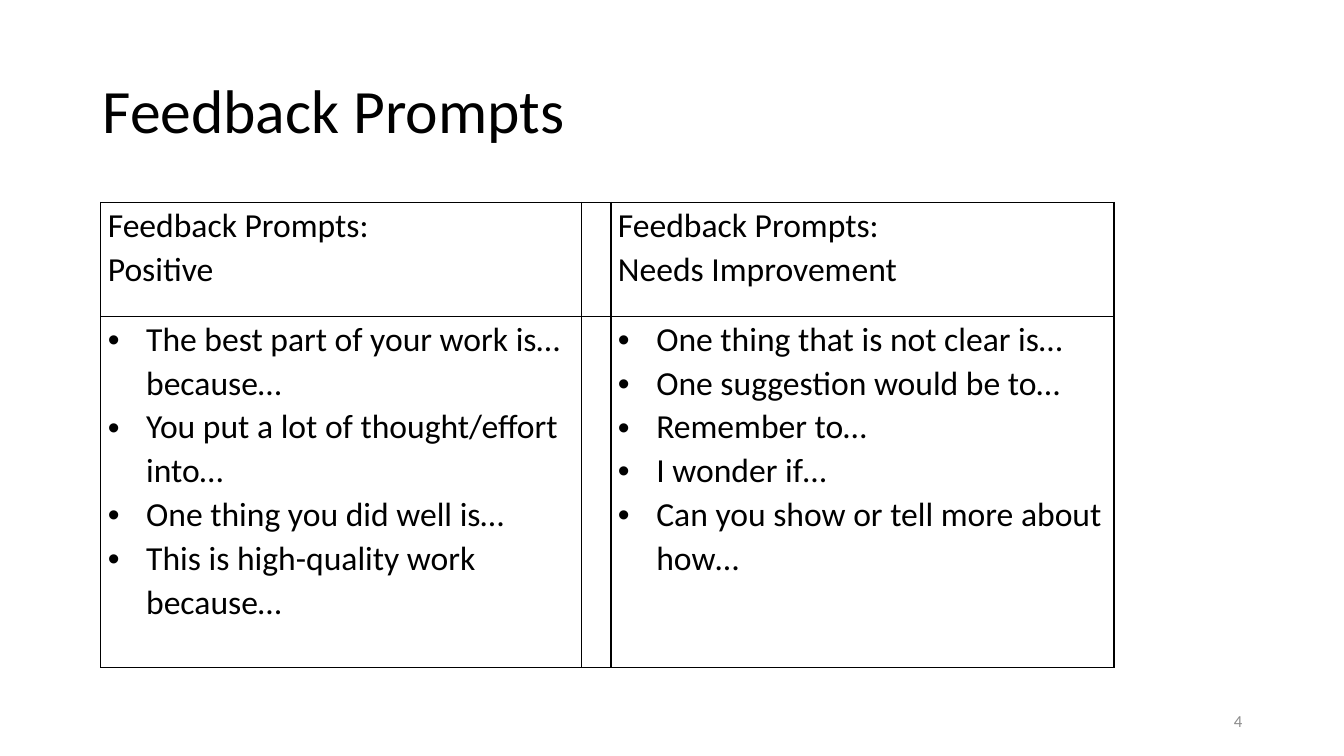
from lxml.etree import SubElement
from pptx import Presentation
from pptx.dml.color import RGBColor
from pptx.enum.text import MSO_ANCHOR, PP_ALIGN
from pptx.oxml import parse_xml
from pptx.oxml.ns import nsdecls, qn
from pptx.util import Inches, Pt

FONT = "Calibri"
BLACK = "000000"
GRAY = "8C8C8C"
COLUMN_WIDTHS = [4.77, 0.29, 4.99]
ROW_HEIGHTS = [1.13, 3.48]
BULLET_INDENT = 0.38

POSITIVE_HEADING = ["Feedback Prompts:", "Positive"]
IMPROVEMENT_HEADING = ["Feedback Prompts:", "Needs Improvement"]
POSITIVE_PROMPTS = [
    "The best part of your work is…because…",
    "You put a lot of thought/effort into…",
    "One thing you did well is…",
    "This is high-quality work because…",
]
IMPROVEMENT_PROMPTS = [
    "One thing that is not clear is…",
    "One suggestion would be to…",
    "Remember to…",
    "I wonder if…",
    "Can you show or tell more about how…",
]


def rgb(color):
    return RGBColor.from_string(color)


def add_run(paragraph, text, size, color=BLACK):
    run = paragraph.add_run()
    run.text = text
    run.font.name = FONT
    run.font.size = Pt(size)
    run.font.color.rgb = rgb(color)


def add_line(slide, box, text, size, color=BLACK, align=PP_ALIGN.LEFT, spacing=1.0):
    """Add a one-line text box, centred vertically in its box."""
    frame = slide.shapes.add_textbox(*map(Inches, box)).text_frame
    frame.word_wrap = True
    frame.vertical_anchor = MSO_ANCHOR.MIDDLE
    paragraph = frame.paragraphs[0]
    paragraph.alignment = align
    paragraph.line_spacing = spacing
    add_run(paragraph, text, size, color)


def add_bullet(paragraph):
    properties = paragraph._p.get_or_add_pPr()
    properties.set("marL", str(Inches(BULLET_INDENT)))
    properties.set("indent", str(-Inches(BULLET_INDENT)))
    SubElement(properties, qn("a:buFont"), typeface="Arial")
    SubElement(properties, qn("a:buChar"), char="•")


def style_cell(cell):
    """Clear the fill, set the margins and draw a thin border on all sides."""
    cell.fill.background()
    cell.margin_left = cell.margin_right = Inches(0.07)
    cell.margin_top = cell.margin_bottom = 0
    properties = cell._tc.get_or_add_tcPr()
    for position, side in enumerate(["lnL", "lnR", "lnT", "lnB"]):
        properties.insert(position, parse_xml(
            f'<a:{side} {nsdecls("a")} w="{Pt(1)}"><a:solidFill>'
            f'<a:srgbClr val="{BLACK}"/></a:solidFill></a:{side}>'))


def fill_cell(cell, lines, bulleted):
    frame = cell.text_frame
    for index, line in enumerate(lines):
        paragraph = frame.add_paragraph() if index else frame.paragraphs[0]
        paragraph.line_spacing = 1.07
        if bulleted:
            add_bullet(paragraph)
        add_run(paragraph, line, 24)


def add_prompt_table(slide, left, top):
    content = [
        [POSITIVE_HEADING, [], IMPROVEMENT_HEADING],
        [POSITIVE_PROMPTS, [], IMPROVEMENT_PROMPTS],
    ]
    size = sum(COLUMN_WIDTHS), sum(ROW_HEIGHTS)
    prompts = slide.shapes.add_table(
        len(ROW_HEIGHTS), len(COLUMN_WIDTHS), *map(Inches, (left, top, *size))).table
    prompts.first_row = prompts.horz_banding = False
    for column, width in zip(prompts.columns, COLUMN_WIDTHS):
        column.width = Inches(width)
    for row, height in zip(prompts.rows, ROW_HEIGHTS):
        row.height = Inches(height)
    for row_index, row_lines in enumerate(content):
        for column_index, lines in enumerate(row_lines):
            cell = prompts.cell(row_index, column_index)
            style_cell(cell)
            fill_cell(cell, lines, bulleted=row_index > 0)


def main():
    deck = Presentation()
    deck.slide_width, deck.slide_height = Inches(13.33), Inches(7.5)
    slide = deck.slides.add_slide(deck.slide_layouts[6])
    add_line(slide, (0.92, 0.4, 11.5, 1.45), "Feedback Prompts", 44, spacing=0.9)
    add_prompt_table(slide, 1, 2.01)
    add_line(slide, (9.42, 6.95, 3, 0.4), "4", 12, GRAY, PP_ALIGN.RIGHT)
    deck.save("out.pptx")


if __name__ == "__main__":
    main()
